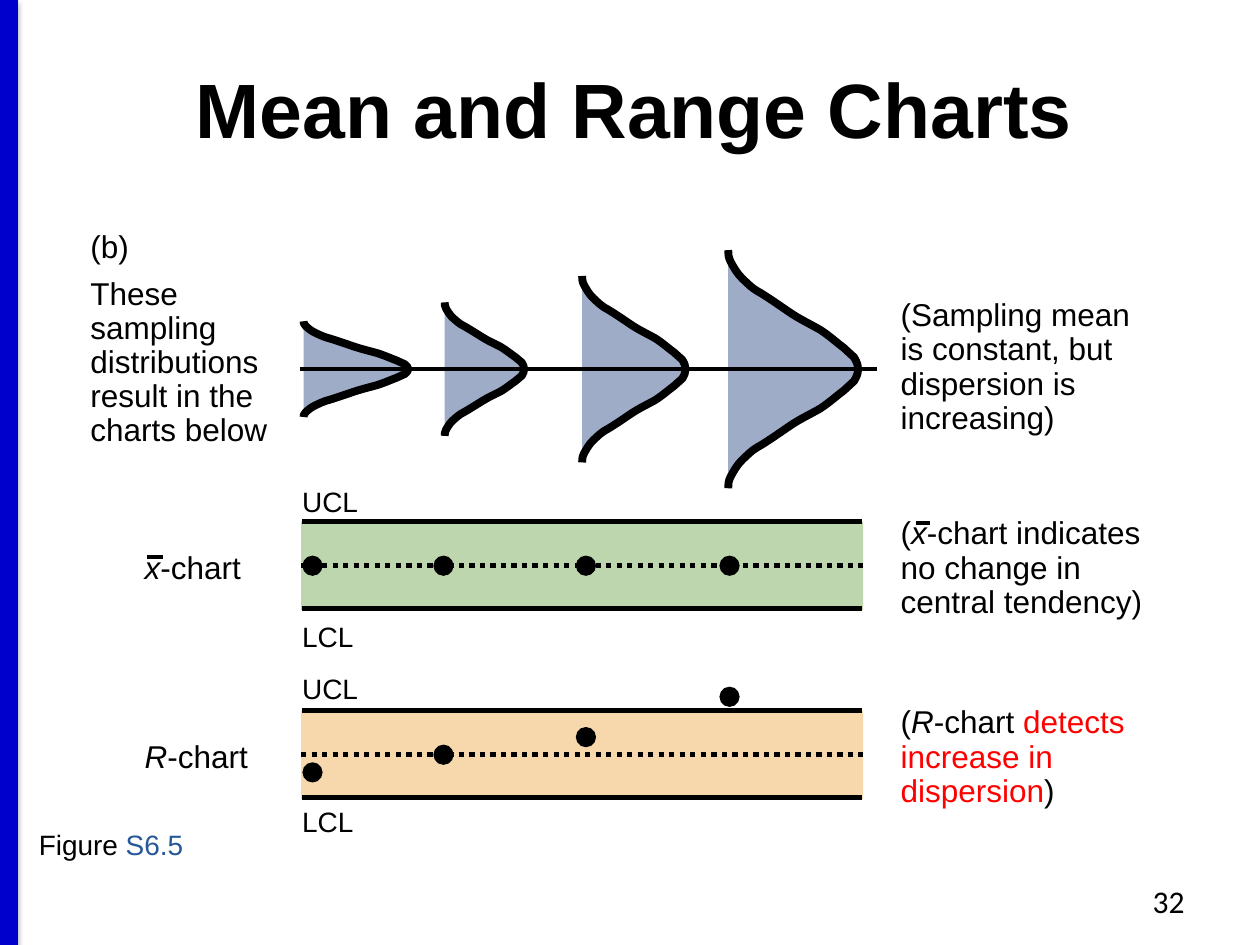
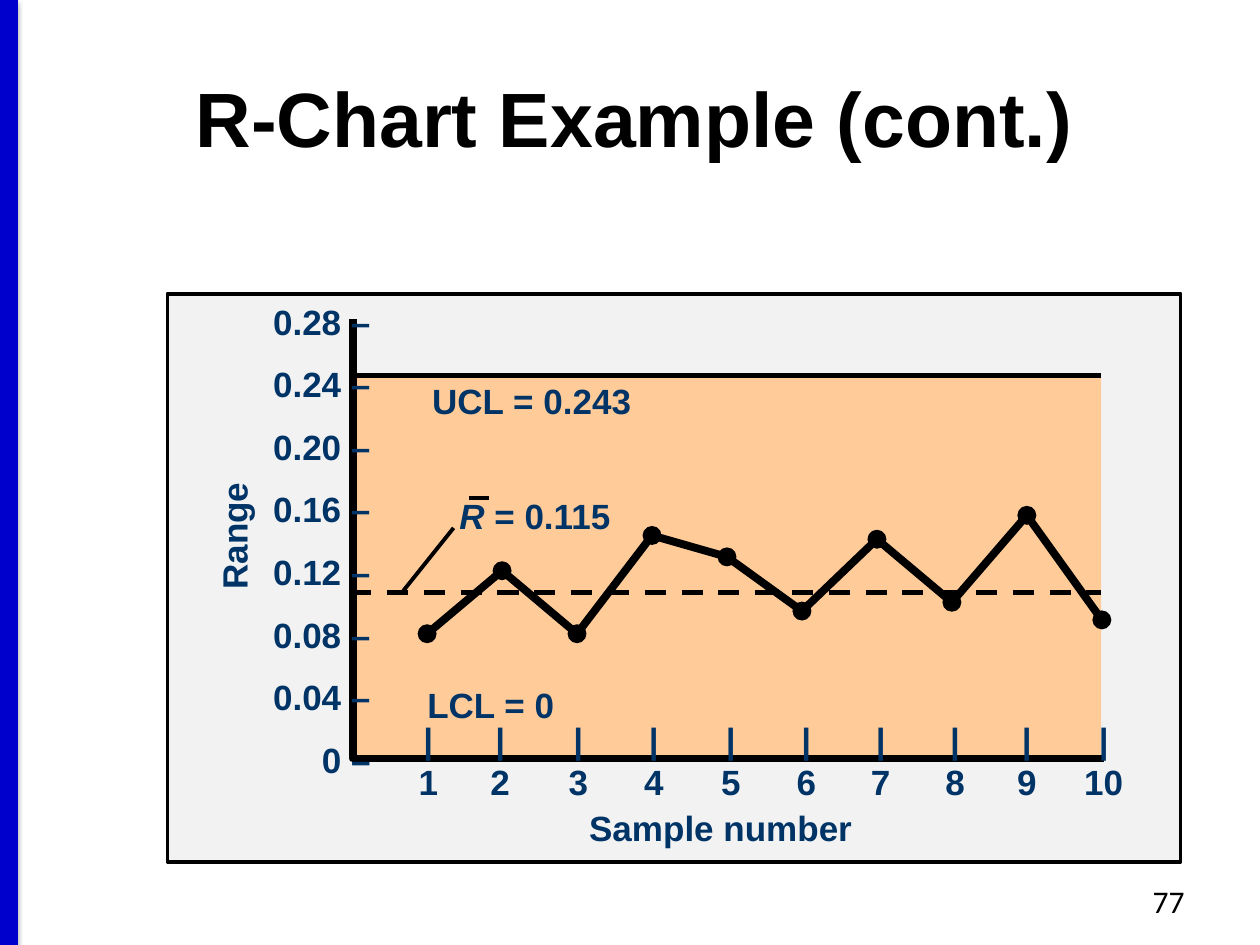
from lxml import etree
from pptx import Presentation
from pptx import util as u
from pptx.dml.color import RGBColor
from pptx.enum import dml, shapes, text
from pptx.oxml import ns

PX = 9144
COL = {"ink": "000000", "bar": "0000CC", "red": "FF0000", "ref": "255898",
       "navy": "003366", "bell": "9FACC7", "green": "BDD6AE",
       "tan": "F7D7AC", "peach": "FFCC99", "panel": "F2F2F2"}
LEFT, MID, RIGHT = text.PP_ALIGN.LEFT, text.PP_ALIGN.CENTER, text.PP_ALIGN.RIGHT
TOP, CENTER = text.MSO_ANCHOR.TOP, text.MSO_ANCHOR.MIDDLE
DASH = dml.MSO_LINE
HALF = [(0, 0), (0, 1.5), (0, 3), (2, 5), (4, 7), (7, 10), (11, 12),
        (15, 14), (18, 16), (25, 18), (31, 20), (39, 23), (47, 26),
        (55, 29), (63, 31), (71, 33.5), (78, 36), (84, 39), (89, 41),
        (93, 43), (95, 44), (97, 45), (99, 47), (100, 48)]
BELL = HALF + [(100, 50)] + [(x, 100 - y) for x, y in reversed(HALF)]


def emu(*vals):
    """Turn px lengths into EMU."""
    return [u.Emu(round(val * PX)) for val in vals]


def rgb(key):
    """Look up a colour by its key."""
    return RGBColor.from_string(COL[key])


def paint(item, fill=None, width=0):
    """Give a shape its fill and a black outline of the given width."""
    item.shadow.inherit = False
    if fill:
        item.fill.solid()
        item.fill.fore_color.rgb = rgb(fill)
    else:
        item.fill.background()
    if width:
        item.line.color.rgb = rgb("ink")
        item.line.width = u.Pt(width)
    else:
        item.line.fill.background()
    return item


def rect(slide, box, fill, width=0):
    """Draw a filled rectangle."""
    item = slide.shapes.add_shape(shapes.MSO_SHAPE.RECTANGLE, *emu(*box))
    return paint(item, fill, width)


def dot(slide, x, y, size):
    """Draw a data point centred at x, y."""
    box = emu(x - size / 2, y - size / 2, size, size)
    paint(slide.shapes.add_shape(shapes.MSO_SHAPE.OVAL, *box), "ink", 0.75)


def line(slide, x1, y1, x2, y2, width, dash=None, color="ink"):
    """Draw a straight line without a shadow."""
    item = slide.shapes.add_connector(
        shapes.MSO_CONNECTOR.STRAIGHT, *emu(x1, y1, x2, y2))
    item.line.color.rgb = rgb(color)
    item.line.width = u.Pt(width)
    if dash:
        item.line.dash_style = dash
    etree.SubElement(item._element.spPr, ns.qn("a:effectLst"))
    return item


def trace(slide, points, width, fill=None):
    """Draw an open outline through the points."""
    first, *rest = [emu(*point) for point in points]
    pen = slide.shapes.build_freeform(*first)
    pen.add_line_segments(rest, close=False)
    return paint(pen.convert_to_shape(), fill, width)


def curve(item):
    """Turn each three straight segments of an outline into one cubic curve."""
    steps = list(item._element.iter(ns.qn("a:lnTo")))
    for num in range(0, len(steps), 3):
        bend = etree.Element(ns.qn("a:cubicBezTo"))
        steps[num].addprevious(bend)
        for step in steps[num:num + 3]:
            bend.append(step[0])
            step.getparent().remove(step)


def write(slide, box, paras, size, color="ink", bold=False, font="Arial",
          align=LEFT, anchor=TOP, wrap=False, grow=True, space=None, gap=0):
    """Write paragraphs, each a string or a list of (words, mark) runs."""
    item = slide.shapes.add_textbox(*emu(*box))
    frame = item.text_frame
    frame.word_wrap = wrap
    frame.vertical_anchor = anchor
    if grow:
        frame.auto_size = text.MSO_AUTO_SIZE.SHAPE_TO_FIT_TEXT
    for num, runs in enumerate(paras):
        para = frame.add_paragraph() if num else frame.paragraphs[0]
        para.alignment = align
        if space:
            para.line_spacing = space
        if num and gap:
            para.space_before = u.Pt(gap)
        para.font.name, para.font.size = font, u.Pt(size)
        para.font.bold = bold
        para.font.color.rgb = rgb(color)
        for words, mark in [(runs, "")] if isinstance(runs, str) else runs:
            run = para.add_run()
            run.text = words
            if mark == "i":
                run.font.italic = True
            elif mark:
                run.font.color.rgb = rgb(mark)
    return item


def base(deck, title, page, space=None):
    """Add a slide with the side bar, title and page number."""
    slide = deck.slides.add_slide(deck.slide_layouts[6])
    bar = line(slide, 7, 0, 7, 750, 10, color="bar")
    shade = etree.SubElement(
        bar._element.spPr.find(ns.qn("a:effectLst")), ns.qn("a:outerShdw"),
        blurRad=str(u.Pt(3.1)), dist=str(u.Pt(1.6)), dir="5400000", rotWithShape="0")
    tint = etree.SubElement(shade, ns.qn("a:srgbClr"), val=COL["ink"])
    etree.SubElement(tint, ns.qn("a:alpha"), val="38000")
    write(slide, (7, 30, 993, 125), [title], 44, bold=True, align=MID,
          anchor=CENTER, wrap=True, grow=False, space=space)
    write(slide, (717, 695, 233, 40), [page], 18, font="Calibri",
          align=RIGHT, wrap=True, grow=False)
    return slide


def bells(slide, x, y):
    """Draw the sampling distributions on their common mean line."""
    for left, wide, high in ((3, 83, 76), (115, 63, 106), (224, 82, 148), (340, 103, 189)):
        curve(trace(slide, [(x + left + a * wide / 100, y + (b - 50) * high / 100)
                            for a, b in BELL], 4.5, "bell"))
    line(slide, x, y, x + 458, y, 2.25)
    write(slide, (x - 176, y - 114, 174, 185),
          ["(b)", "These sampling distributions result in the charts below"],
          18, wrap=True, space=0.9, gap=7)
    write(slide, (x + 467, y - 60, 220, 120),
          ["(Sampling mean is constant, but dispersion is increasing)"],
          18, wrap=True, space=0.9)


def control(slide, x, y, fill, sign, marks, tops, note):
    """Draw one control chart with its limits, points, name and note."""
    band = rect(slide, (x, y, 446, 70), fill)
    for edge in (y, y + 69):
        line(slide, x + 1, edge, x + 445, edge, 3)
    mean = line(slide, x, y + 35, x + 446, y + 35, 3, DASH.ROUND_DOT)
    mean.begin_connect(band, 1)
    mean.end_connect(band, 3)
    for left, mark in zip((9, 113, 226, 340), marks):
        dot(slide, x + left, y + mark, 15)
    write(slide, (x - 134, y + 16, 104, 40), [[(sign, "i"), ("-chart", "")]], 18)
    write(slide, (x + 466, y - 8, 237, 92),
          [[("(", ""), (sign, "i"), ("-chart ", ""), *note]], 18, wrap=True, space=0.9)
    for limit, top in zip(("UCL", "LCL"), tops):
        write(slide, (x - 9, y + top, 66, 37), [limit], 16)


def ranges(slide, x, y):
    """Draw the framed R-chart with its axes, limits and sample points."""
    def label(box, paras, **more):
        """Write a bold navy label in the frame."""
        left, top, wide, high = box
        style = {"align": MID, "anchor": CENTER, **more}
        return write(slide, (x + left, y + top, wide, high), paras, 20, "navy", True, **style)

    rect(slide, (x, y, 804, 451), "panel", 2.25)
    rect(slide, (x + 145, y + 66, 596, 304), "peach")
    trace(slide, [(x + 147, y + 20), (x + 147, y + 369), (x + 743, y + 369)], 4.5)
    line(slide, x + 145, y + 65, x + 741, y + 65, 3)
    line(slide, x + 145, y + 237, x + 741, y + 237, 3, DASH.DASH)
    marks = (270, 220, 270, 192, 209, 252, 195, 245, 176, 259)
    points = [(x + 206 + 59.5 * num, y + mark) for num, mark in enumerate(marks)]
    trace(slide, points, 4.5)
    for point in points:
        dot(slide, *point, 14)
    ticks = (207, 264, 326, 386, 447, 507, 566, 625, 682, 743)
    for num, tick in enumerate(ticks, 1):
        label((tick - 30, 332, 60, 77), ["|", str(num)])
    label((41, -16, 130, 407), [f"{num * 0.04:.2f} –" for num in range(7, 0, -1)] + ["0 –"],
          align=RIGHT, anchor=TOP, space=1.49)
    label((200, 63, 178, 43), ["UCL = 0.243"])
    label((196, 305, 121, 43), ["LCL = 0"])
    label((309, 402, 260, 43), ["Sample number"])
    label((0, 171, 105, 43), ["Range"]).rotation = 270
    label((221, 155, 141, 43), [[("R", "i"), (" = 0.115", "")]])
    line(slide, x + 239, y + 162, x + 255, y + 162, 2.25)
    line(slide, x + 227, y + 186, x + 187, y + 236, 2.25)


def main():
    """Build both slides and save them."""
    deck = Presentation()
    deck.slide_width, deck.slide_height = emu(1000, 750)
    slide = base(deck, "Mean and Range Charts", "32", 0.8)
    control(slide, 239, 564, "tan", "R", (49, 35, 21, -11), (-36, 70),
            [("detects increase in dispersion", "red"), (")", "")])
    bells(slide, 238, 293)
    control(slide, 239, 414, "green", "x", (35,) * 4, (-34, 73),
            [("indicates no change in central tendency)", "")])
    line(slide, 117, 442, 129, 442, 2.25)
    line(slide, 727, 415, 738, 415, 2.25)
    write(slide, (21, 652, 140, 37), [[("Figure ", ""), ("S6.5", "ref")]], 16)
    ranges(base(deck, "R-Chart Example (cont.)", "77"), 133, 233)
    deck.save("out.pptx")


if __name__ == "__main__":
    main()
